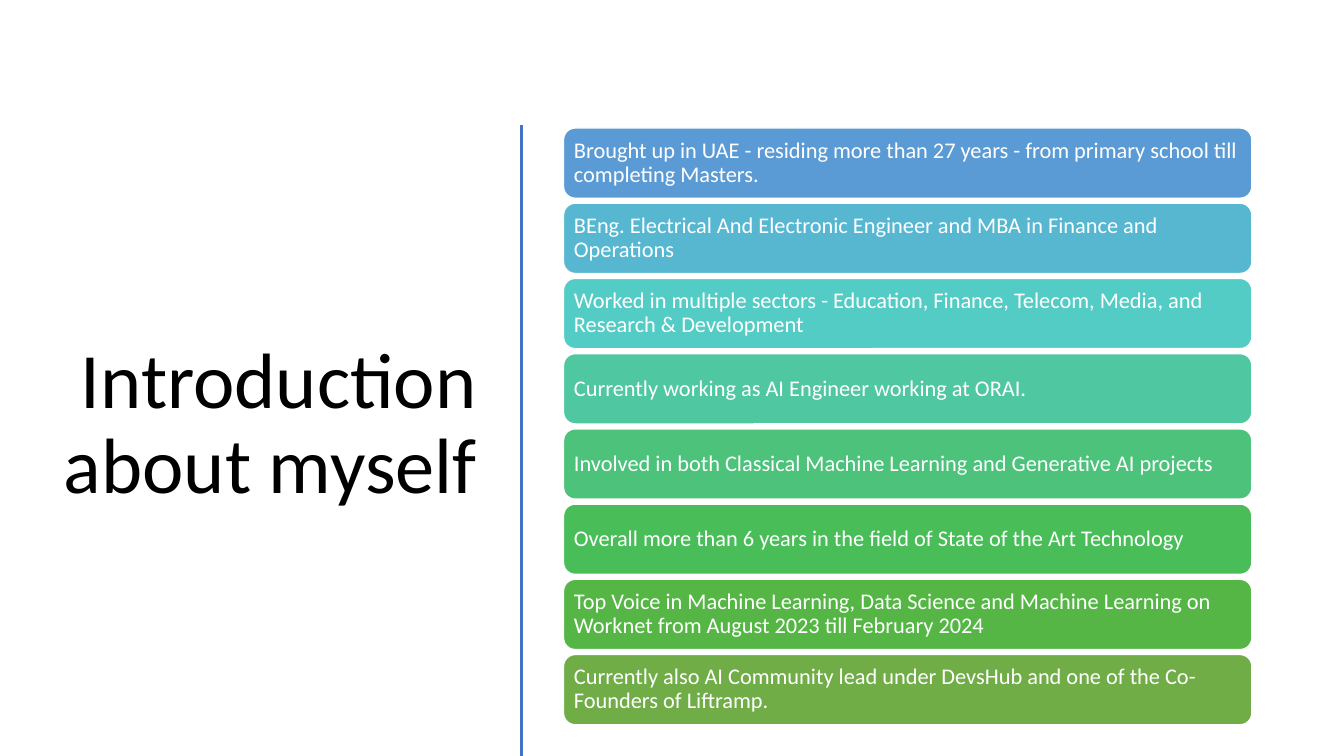
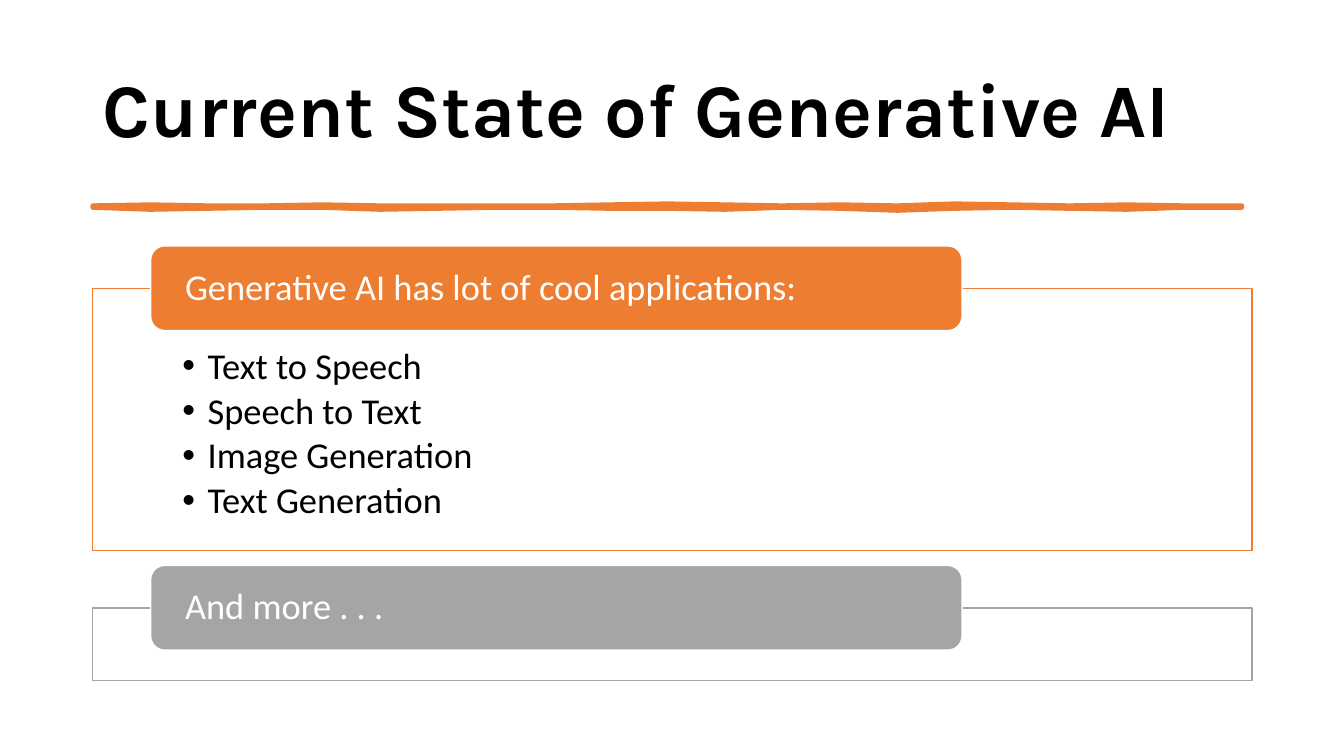
from lxml import etree
from pptx import Presentation
from pptx import util as u
from pptx.dml.color import RGBColor
from pptx.enum import shapes, text
from pptx.oxml.ns import qn

COLORS = {
    "paper": "FFFFFF", "ink": "000000", "divider": "4472C4",
    "orange": "ED7D31", "gray": "A5A5A5",
}
LEFT, MIDDLE = text.PP_ALIGN.LEFT, text.MSO_ANCHOR.MIDDLE
STYLES = {
    "intro": {"name": "Calibri", "size": u.Pt(56), "bold": False, "color": "ink"},
    "state": {"name": "Karla", "size": u.Pt(54), "bold": True, "color": "ink"},
    "card": {"name": "Calibri", "size": u.Pt(16), "color": "paper"},
    "heading": {"name": "Calibri", "size": u.Pt(26), "color": "paper"},
    "bullet": {"name": "Calibri", "size": u.Pt(26), "color": "ink"},
}

deck = Presentation()
deck.slide_width, deck.slide_height = u.Inches(13.333), u.Inches(7.5)
COL, ROW = deck.slide_width / 100, deck.slide_height / 100


def write(holder, lines, style, align=LEFT, anchor=MIDDLE, margins=(0.1, 0.05, 0.1, 0.05), after=0):
    frame = holder.text_frame
    left, top, right, bottom = map(u.Inches, margins)
    frame_format = {
        "word_wrap": True, "auto_size": text.MSO_AUTO_SIZE.NONE, "vertical_anchor": anchor,
        "margin_left": left, "margin_top": top, "margin_right": right, "margin_bottom": bottom,
    }
    for key, value in frame_format.items():
        setattr(frame, key, value)
    frame.text = "\n".join(lines)
    for paragraph in frame.paragraphs:
        if style == "bullet":
            props = paragraph._p.get_or_add_pPr()
            props.set("marL", str(u.Inches(0.25)))
            props.set("indent", str(-u.Inches(0.25)))
            etree.SubElement(props, qn("a:buFont"), typeface="Arial")
            etree.SubElement(props, qn("a:buChar"), char="•")
        layout = {"alignment": align, "line_spacing": 0.9,
                  "space_before": u.Pt(0), "space_after": u.Pt(after)}
        for key, value in layout.items():
            setattr(paragraph, key, value)
        for key, value in STYLES[style].items():
            if key == "color":
                paragraph.font.color.rgb = RGBColor.from_string(COLORS[value])
            else:
                setattr(paragraph.font, key, value)


def box(slide, kind, area, fill, line):
    left, top, width, height = area
    shape = slide.shapes.add_shape(kind, round(left * COL), round(top * ROW),
                                   round(width * COL), round(height * ROW))
    shape.shadow.inherit = False
    shape.fill.solid()
    shape.fill.fore_color.rgb = RGBColor.from_string(fill)
    shape.line.color.rgb = RGBColor.from_string(line)
    shape.line.width = u.Pt(1)
    return shape


titles = [
    ("Introduction about myself", "intro", text.PP_ALIGN.RIGHT, (3.9, 15.6, 32.33, 81.47)),
    ("Current State of Generative AI", "state", LEFT, (6.9, 5.33, 86.25, 19.33)),
]
for wording, style, align, (left, top, width, height) in titles:
    slide = deck.slides.add_slide(deck.slide_layouts[5])
    title = slide.shapes.title
    place = {"left": left * COL, "top": top * ROW, "width": width * COL, "height": height * ROW}
    for key, value in place.items():
        setattr(title, key, round(value))
    write(title, [wording], style, align)
intro, state = deck.slides

divider = intro.shapes.add_connector(
    shapes.MSO_CONNECTOR.STRAIGHT, round(38.78 * COL), round(16.53 * ROW),
    round(38.78 * COL), round(100 * ROW))
divider.line.color.rgb = RGBColor.from_string(COLORS["divider"])
divider.line.width = u.Pt(2)
etree.SubElement(divider._element.spPr, qn("a:effectLst"))

facts = [
    ("5B9BD5", "Brought up in UAE - residing more than 27 years - from primary school till completing Masters."),
    ("57B7D1", "BEng. Electrical And Electronic Engineer and MBA in Finance and Operations"),
    ("53CCC5", "Worked in multiple sectors - Education, Finance, Telecom, Media, and Research & Development"),
    ("4FC7A0", "Currently working as AI Engineer working at ORAI."),
    ("4CC27B", "Involved in both Classical Machine Learning and Generative AI projects"),
    ("48BD58", "Overall more than 6 years in the field of State of the Art Technology"),
    ("55B646", "Top Voice in Machine Learning, Data Science and Machine Learning on "
               "Worknet from August 2023 till February 2024"),
    ("70AD47", "Currently also AI Community lead under DevsHub and one of the Co-Founders of Liftramp."),
]
for row, (fill, fact) in enumerate(facts):
    card = box(intro, shapes.MSO_SHAPE.ROUNDED_RECTANGLE,
               (41.93, 16.93 + row * 9.95, 51.22, 9.3), fill, COLORS["paper"])
    write(card, [fact], "card", margins=(0.07,) * 4)

upper = [0, -1, 0, 0, -1, 0, 0, 0, 0, -1, -2, -1, 0, -1, 0, -2, -1, 0, -1, 0, 0]
lower = [2, 4, 3, 2, 2, 4, 3, 2, 2, 3, 3, 4, 2, 3, 5, 3, 2, 3, 4, 2, 2]
STEP = 85.5 / (len(upper) - 1)
edge = [(6.9 + i * STEP, y) for i, y in enumerate(upper)]
edge += [(6.9 + i * STEP, y) for i, y in reversed(list(enumerate(lower)))]
points = [(round(x * COL), round((27.2 + y * 0.13) * ROW)) for x, y in edge]
outline = state.shapes.build_freeform(*points[0])
outline.add_line_segments(points[1:], close=True)
brush = outline.convert_to_shape()
brush.shadow.inherit = False
brush.fill.solid()
brush.fill.fore_color.rgb = RGBColor.from_string(COLORS["orange"])
brush.line.color.rgb = RGBColor.from_string(COLORS["orange"])
brush.line.width = u.Pt(3.25)
etree.SubElement(brush.line._get_or_add_ln(), qn("a:round"))

PANEL_LEFT, PANEL_WIDTH, HEADING_HEIGHT = 6.9, 86.25, 11.2
sections = [
    ("orange", 38.13, 34.67, "Generative AI has lot of cool applications:",
     ["Text to Speech", "Speech to Text", "Image Generation", "Text Generation"]),
    ("gray", 80.4, 9.6, "And more . . .", []),
]
for accent, top, height, heading, items in sections:
    panel = box(state, shapes.MSO_SHAPE.RECTANGLE, (PANEL_LEFT, top, PANEL_WIDTH, height),
                COLORS["paper"], COLORS[accent])
    tint = panel._element.spPr.find(qn("a:solidFill")).find(qn("a:srgbClr"))
    etree.SubElement(tint, qn("a:alpha"), val="90000")
    if items:
        write(panel, items, "bullet", anchor=text.MSO_ANCHOR.TOP,
              margins=(0.89, 0.59, 0.89, 0.2), after=4)
    tab = box(state, shapes.MSO_SHAPE.ROUNDED_RECTANGLE,
              (PANEL_LEFT + PANEL_WIDTH * 0.05, top - HEADING_HEIGHT / 2,
               PANEL_WIDTH * 0.7, HEADING_HEIGHT), COLORS[accent], COLORS["paper"])
    write(tab, [heading], "heading", margins=(0.3, 0, 0.3, 0))

deck.save("out.pptx")
